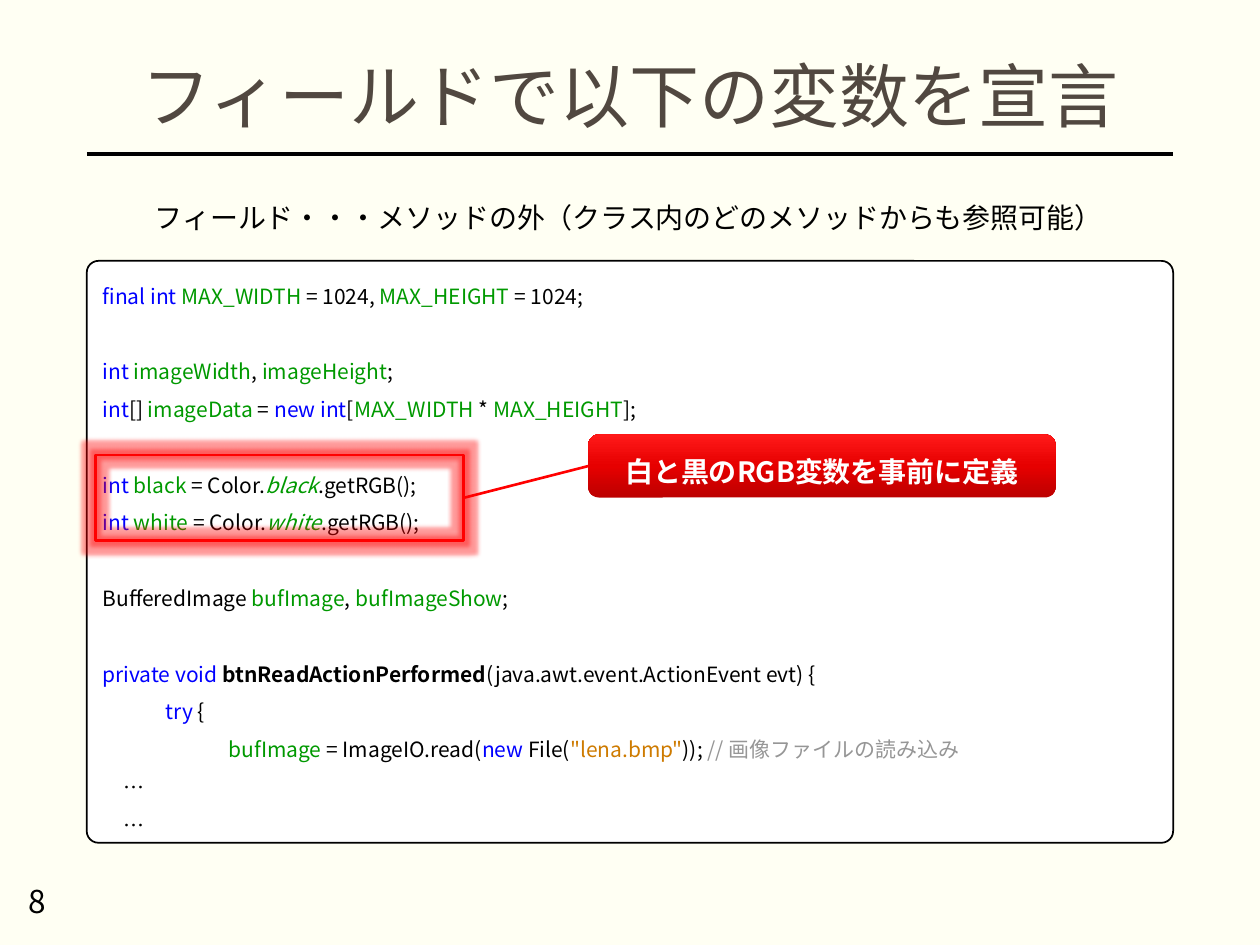
import pptx
import pptx.util
import pptx.dml.color
import pptx.enum.shapes
import pptx.enum.text
import pptx.oxml
import pptx.oxml.ns
import lxml.etree

Cm = pptx.util.Cm
Pt = pptx.util.Pt
qn = pptx.oxml.ns.qn
SHAPE = pptx.enum.shapes.MSO_SHAPE
ALIGN = pptx.enum.text.PP_ALIGN
ANCHOR = pptx.enum.text.MSO_ANCHOR

COLORS = {
    "background": "FFFFF3", "title": "514840", "text": "000000", "white": "FFFFFF",
    "keyword": "0000FF", "field": "009900", "constant": "009900", "string": "CE7B00",
    "comment": "969696", "mark": "FF0000",
    "dark": "BC0000", "middle": "E60000", "light": "FF1919",
}


def color_declaration(name):
    return [("int ", "keyword"), (name, "field"), (" = Color.", "text"),
            (name, "constant"), (".getRGB();", "text")]


CODE = [
    (0, 0, [("final int ", "keyword"), ("MAX_WIDTH ", "field"), ("= 1024, ", "text"),
            ("MAX_HEIGHT ", "field"), ("= 1024;", "text")]),
    (0, 1, [("int ", "keyword"), ("imageWidth", "field"), (", ", "text"),
            ("imageHeight", "field"), (";", "text")]),
    (0, 0, [("int", "keyword"), ("[] ", "text"), ("imageData", "field"), (" = ", "text"),
            ("new int", "keyword"), ("[", "text"), ("MAX_WIDTH ", "field"), ("* ", "text"),
            ("MAX_HEIGHT", "field"), ("];", "text")]),
    (0, 1, color_declaration("black")),
    (0, 0, color_declaration("white")),
    (0, 1, [("BufferedImage ", "text"), ("bufImage", "field"), (", ", "text"),
            ("bufImageShow", "field"), (";", "text")]),
    (0, 1, [("private void ", "keyword"), ("btnReadActionPerformed", "method"),
            ("(java.awt.event.ActionEvent evt) {", "text")]),
    (1, 0, [("try", "keyword"), (" {", "text")]),
    (2, 0, [("bufImage", "field"), (" = ImageIO.read(", "text"), ("new", "keyword"),
            (" File(", "text"), ('"lena.bmp"', "string"), (")); ", "text"),
            ("// 画像ファイルの読み込み", "comment")]),
    (0, 0, [("　…", "text")]),
    (0, 0, [("　…", "text")]),
]


class SlideBuilder:
    font = "Noto Sans CJK JP"

    def __init__(self, prs):
        self.s = prs.slides.add_slide(prs.slide_layouts[5])
        fill = self.s.background.fill
        fill.solid()
        fill.fore_color.rgb = self.rgb("background")

    def rgb(self, name):
        return pptx.dml.color.RGBColor.from_string(COLORS[name])

    def run(self, p, text, size, color="text", bold=False, italic=False):
        r = p.add_run()
        r.text = text
        r.font.size = Pt(size)
        r.font.bold = bold
        r.font.italic = italic
        r.font.color.rgb = self.rgb(color)
        r.font.name = self.font
        ea = lxml.etree.SubElement(r.font._element, qn("a:ea"))
        ea.set("typeface", self.font)

    def title(self, text, box):
        sp = self.s.shapes.title
        sp.left, sp.top, sp.width, sp.height = map(Cm, box)
        tf = sp.text_frame
        tf.auto_size = pptx.enum.text.MSO_AUTO_SIZE.NONE
        tf.vertical_anchor = ANCHOR.MIDDLE
        p = tf.paragraphs[0]
        p.alignment = ALIGN.CENTER
        p.line_spacing = 0.9
        self.run(p, text, 40, "title")

    def text(self, text, box, size, align=ALIGN.LEFT):
        tf = self.s.shapes.add_textbox(*map(Cm, box)).text_frame
        tf.word_wrap = True
        p = tf.paragraphs[0]
        p.alignment = align
        self.run(p, text, size)

    def shape(self, kind, box, fill=None, line=None, width=1):
        sp = self.s.shapes.add_shape(kind, *map(Cm, box))
        sp.shadow.inherit = False
        if fill:
            sp.fill.solid()
            sp.fill.fore_color.rgb = self.rgb(fill)
        else:
            sp.fill.background()
        if line:
            sp.line.color.rgb = self.rgb(line)
            sp.line.width = Pt(width)
        else:
            sp.line.fill.background()
        return sp

    def code(self, lines, box):
        sp = self.shape(SHAPE.ROUNDED_RECTANGLE, box, "white", "text")
        sp.adjustments[0] = 0.02
        tf = sp.text_frame
        tf.vertical_anchor = ANCHOR.TOP
        for i, (level, gap, runs) in enumerate(lines):
            p = tf.paragraphs[0] if i == 0 else tf.add_paragraph()
            p.alignment = ALIGN.LEFT
            p.line_spacing = 1.5
            if gap:
                p.space_before = Pt(21.6)
            if level:
                p.level = level
                pPr = p._p.get_or_add_pPr()
                pPr.set("marL", str(Cm(1.27 * level)))
                pPr.set("indent", "0")
            for text, role in runs:
                color = "text" if role == "method" else role
                self.run(p, text, 12, color, role == "method", role == "constant")

    def glowing_frame(self, box):
        sp = self.shape(SHAPE.RECTANGLE, box, line="mark", width=1.5)
        effects = sp._element.spPr.find(qn("a:effectLst"))
        glow = lxml.etree.SubElement(effects, qn("a:glow"), rad="63500")
        clr = lxml.etree.SubElement(glow, qn("a:srgbClr"), val=COLORS["mark"])
        lxml.etree.SubElement(clr, qn("a:alpha"), val="40000")
        return sp

    def callout(self, text, box):
        sp = self.shape(SHAPE.ROUNDED_RECTANGLE, box)
        sp.fill.gradient()
        sp.fill.gradient_angle = 90
        stops = sp._element.spPr.find(qn("a:gradFill")).find(qn("a:gsLst"))
        for gs in list(stops):
            stops.remove(gs)
        for pos, name in ((0, "dark"), (50, "middle"), (100, "light")):
            gs = lxml.etree.SubElement(stops, qn("a:gs"), pos=str(pos * 1000))
            lxml.etree.SubElement(gs, qn("a:srgbClr"), val=COLORS[name])
        tf = sp.text_frame
        tf.margin_left = tf.margin_right = tf.margin_bottom = 0
        tf.margin_top = Cm(0.2)
        tf.vertical_anchor = ANCHOR.MIDDLE
        p = tf.paragraphs[0]
        p.alignment = ALIGN.CENTER
        self.run(p, text, 16, "white", bold=True)
        return sp

    def line(self, ends, color, width):
        cn = self.s.shapes.add_connector(
            pptx.enum.shapes.MSO_CONNECTOR.STRAIGHT, *map(Cm, ends))
        cn.line.color.rgb = self.rgb(color)
        cn.line.width = Pt(width)
        lxml.etree.SubElement(cn._element.spPr, qn("a:effectLst"))
        return cn


def main():
    prs = pptx.Presentation()
    prs.slide_width, prs.slide_height = Cm(25.4), Cm(19.05)
    s = SlideBuilder(prs)
    left, width = 1.75, 21.9
    s.line((left, 3.1, left + width, 3.1), "text", 2)
    s.title("フィールドで以下の変数を宣言", (left, 0.91, width, 2.19))
    s.text("8", (0.33, 17.65, 5.72, 1.02), 18)
    s.code(CODE, (left, 5.26, width, 11.73))
    frame = s.glowing_frame((1.93, 9.17, 7.42, 1.73))
    callout = s.callout("白と黒のRGB変数を事前に定義", (11.86, 8.76, 9.42, 1.27))
    link = s.line((11.86, 9.4, 9.35, 10.03), "mark", 1.5)
    link.begin_connect(callout, 1)
    link.end_connect(frame, 3)
    s.text("フィールド・・・メソッドの外（クラス内のどのメソッドからも参照可能）",
           (1.52, 3.91, 22.33, 0.94), 16, ALIGN.CENTER)
    prs.save("out.pptx")


if __name__ == "__main__":
    main()
